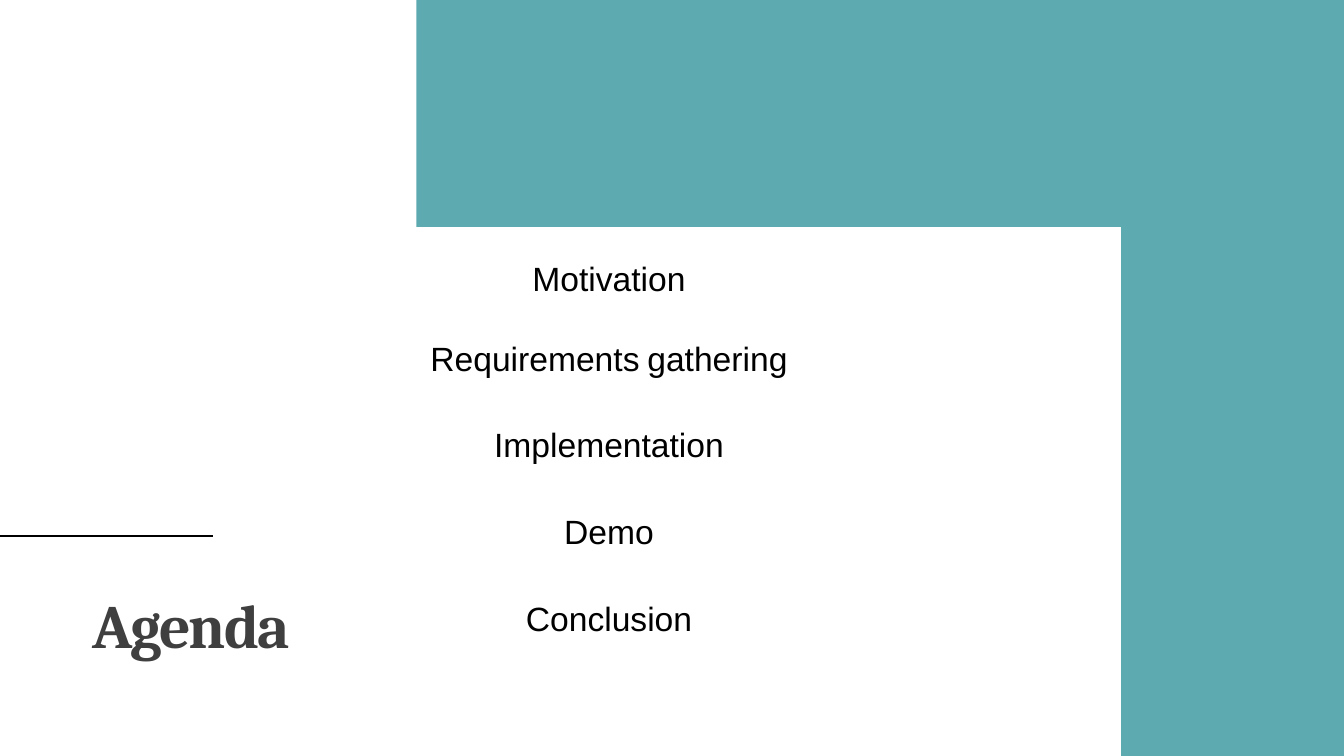
from lxml import etree
from pptx import Presentation
from pptx.dml.color import RGBColor
from pptx.enum.shapes import MSO_CONNECTOR, MSO_SHAPE
from pptx.enum.text import MSO_ANCHOR, PP_ALIGN
from pptx.oxml.ns import qn
from pptx.util import Emu, Pt

RECT = MSO_SHAPE.RECTANGLE
LINE = MSO_CONNECTOR.STRAIGHT
MIDDLE, BOTTOM = MSO_ANCHOR.MIDDLE, MSO_ANCHOR.BOTTOM
LEFT, CENTER = PP_ALIGN.LEFT, PP_ALIGN.CENTER
SCALE = 9144
TEAL, BLACK, GREY = "5DAAB0", "000000", "3F3F3F"
FIRST, NEXT, STEP = 237, 316, 86
TOPICS = [
    [("Motivation", 24)],
    [("Requirements", 24), (" ", 20), ("gathering", 24)],
    [("Implementation", 24)],
    [("Demo", 24)],
    [("Conclusion", 24)],
]


def px(*sizes):
    """Turn lengths in px into EMU."""
    return [Emu(size * SCALE) for size in sizes]


def color(code):
    """Turn a hex string into a colour."""
    return RGBColor.from_string(code)


def add_block(slide, *box):
    """Add a plain teal block."""
    block = slide.shapes.add_shape(RECT, *px(*box))
    block.shadow.inherit = False
    block.fill.solid()
    block.fill.fore_color.rgb = color(TEAL)
    block.line.fill.background()


def add_rule(slide, *ends):
    """Add a thin black line."""
    rule = slide.shapes.add_connector(LINE, *px(*ends))
    rule.line.color.rgb = color(BLACK)
    rule.line.width = Pt(1.5)
    props = rule._element.find(qn("p:spPr"))
    etree.SubElement(props, qn("a:effectLst"))


def add_text(slide, box, runs, font, code, anchor, align):
    """Add a one-paragraph text box and return its frame."""
    frame = slide.shapes.add_textbox(*px(*box)).text_frame
    frame.word_wrap = True
    frame.vertical_anchor = anchor
    para = frame.paragraphs[0]
    para.alignment = align
    para.line_spacing = 0.9
    for text, size in runs:
        run = para.add_run()
        run.text = text
        run.font.size = Pt(size)
        run.font.name = font
        run.font.color.rgb = color(code)
    return frame


def add_title(slide):
    """Add the bold, tightly spaced title."""
    frame = add_text(slide, (92, 571, 298, 86), [("Agenda", 44)],
                     "Cambria", GREY, BOTTOM, LEFT)
    (frame.margin_left, frame.margin_top,
     frame.margin_right, frame.margin_bottom) = px(0, 5, 10, 0)
    font = frame.paragraphs[0].runs[0].font
    font.bold = True
    font._element.set("spc", "-150")


def add_topics(slide):
    """Add the agenda topics from top to bottom."""
    for index, runs in enumerate(TOPICS):
        top = NEXT + (index - 1) * STEP if index else FIRST
        frame = add_text(slide, (369, top, 470, 83), runs,
                         "Arial", BLACK, MIDDLE, CENTER)
        if index == 0:
            frame.paragraphs[0].space_before = Pt(10)


def main():
    """Build the agenda slide and save it."""
    deck = Presentation()
    deck.slide_width, deck.slide_height = px(1333, 750)
    slide = deck.slides.add_slide(deck.slide_layouts[6])
    add_rule(slide, 211, 532, 0, 532)
    add_block(slide, 413, 0, 392, 225)
    add_title(slide)
    add_topics(slide)
    add_block(slide, 803, 0, 530, 225)
    add_block(slide, 1112, 225, 221, 525)
    deck.save("out.pptx")


if __name__ == "__main__":
    main()
